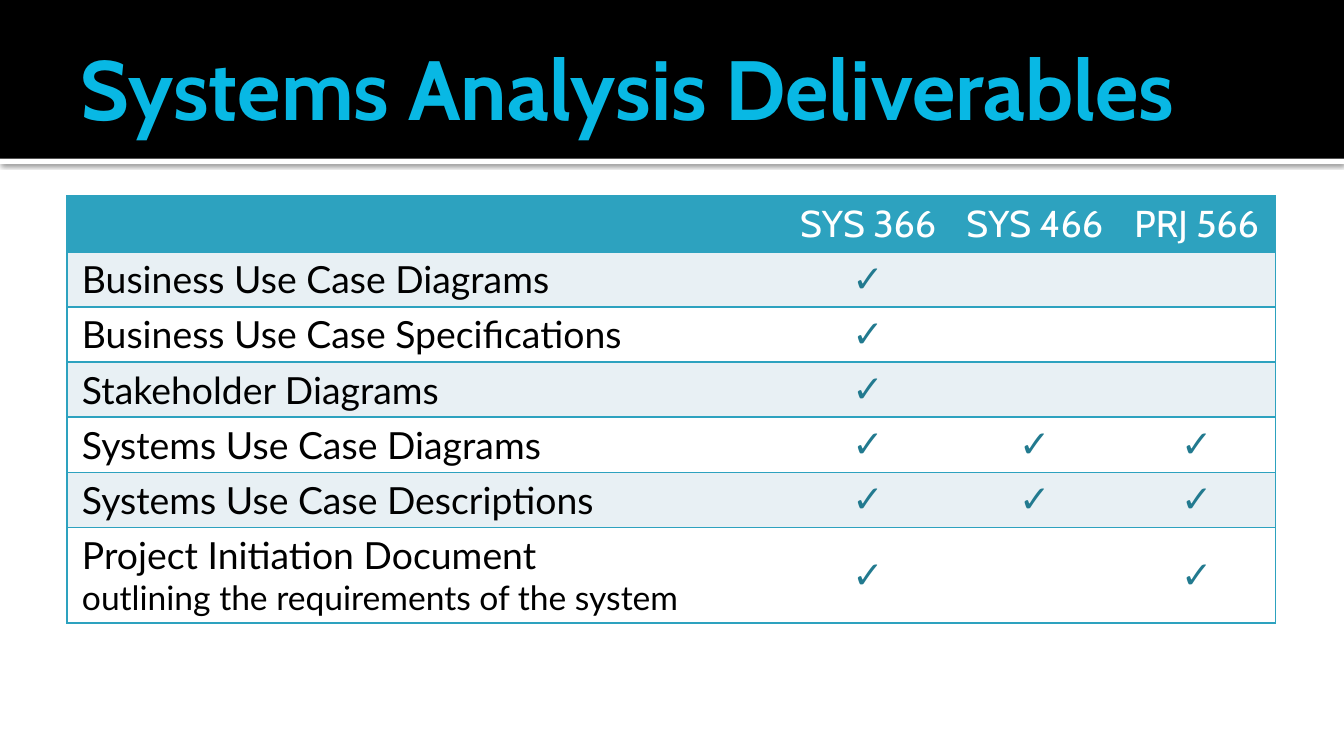
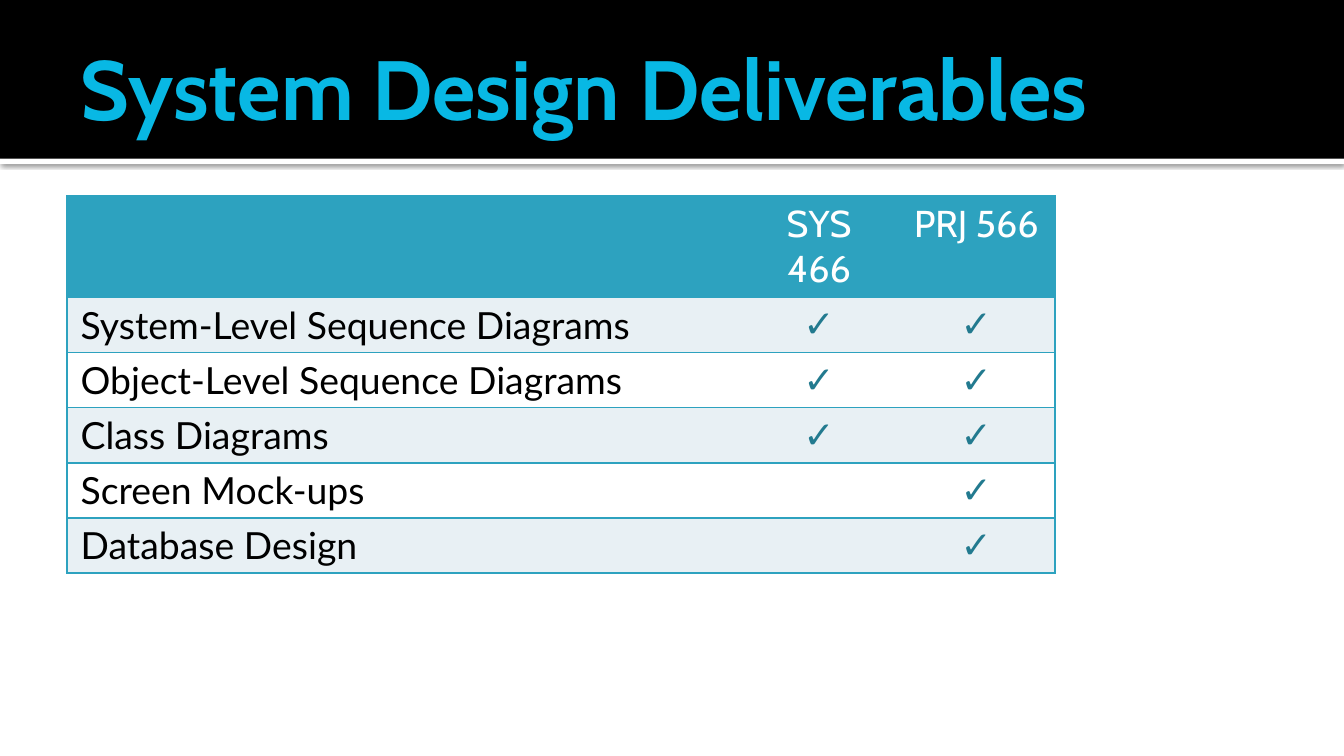
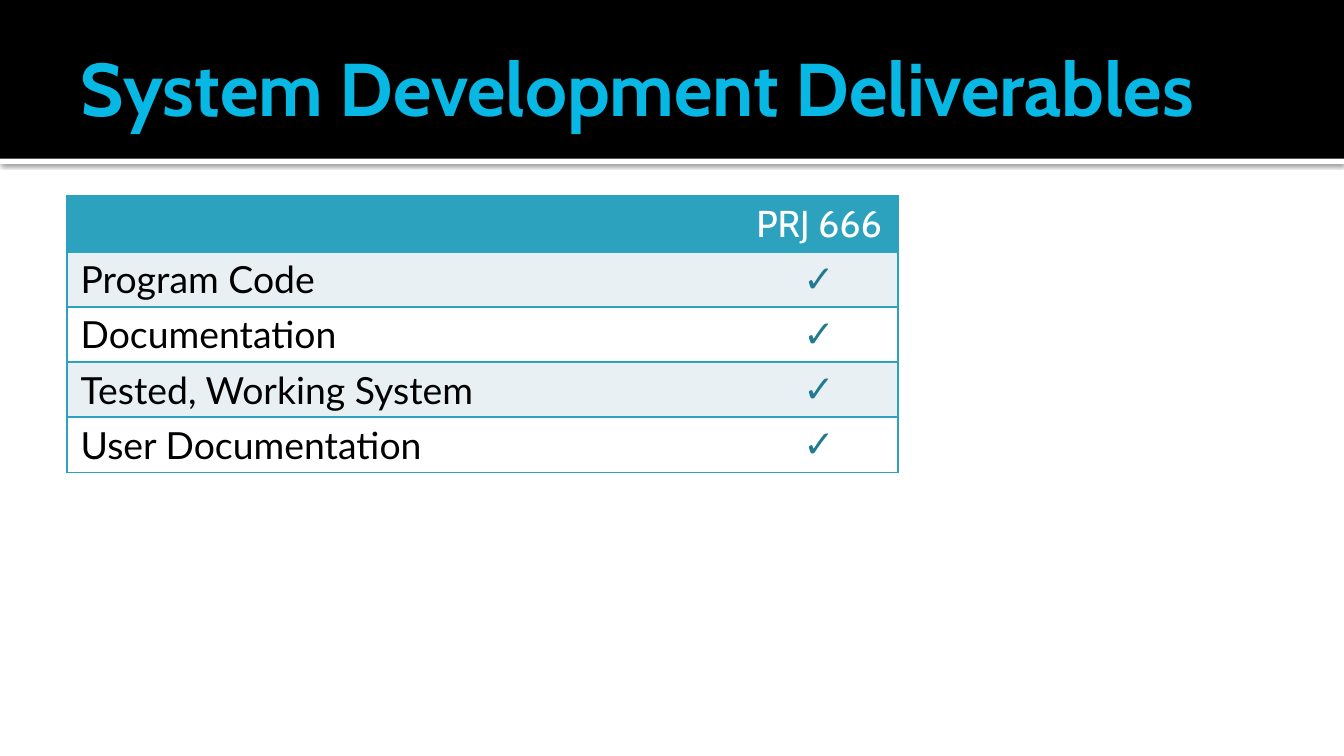
from lxml import etree
from pptx import Presentation
from pptx.dml.color import RGBColor
from pptx.enum.shapes import MSO_SHAPE
from pptx.enum.text import MSO_ANCHOR, MSO_AUTO_SIZE, PP_ALIGN
from pptx.oxml.ns import qn
from pptx.util import Inches, Pt

RECTANGLE = MSO_SHAPE.RECTANGLE
TOP, MIDDLE = MSO_ANCHOR.TOP, MSO_ANCHOR.MIDDLE
LEFT, CENTER = PP_ALIGN.LEFT, PP_ALIGN.CENTER
NO_AUTOFIT = MSO_AUTO_SIZE.NONE

COLORS = {
    "band": "000000",
    "title": "08B8E4",
    "header": "2DA2BF",
    "stripe": "E8F0F4",
    "plain": "FFFFFF",
    "text": "000000",
    "check": "227A8F",
}
HEADING_FONT, BODY_FONT, CHECK_FONT = "Cabin", "Lato", "Arial"
CHECK = "✓"
TITLE_ONLY = 5
SLIDE_WIDTH = Inches(10)
SLIDE_HEIGHT = SLIDE_WIDTH * 9 // 16
MARGIN = 0.5
BAND_HEIGHT = 1.18
TABLE_TOP = 1.46
ROW_HEIGHT = 0.3  # rows grow to fit their text
NOTED_ROW_HEIGHT = 0.5
CELL_PADDING = Pt(2.7)


def rgb(name):
    return RGBColor.from_string(COLORS[name])


def add_run(paragraph, text, font, size, color, bold=False):
    run = paragraph.add_run()
    run.text = text
    run.font.name = font
    run.font.size = Pt(size)
    run.font.bold = bold
    run.font.color.rgb = rgb(color)


def set_margins(target, left, top, right, bottom):
    target.margin_left, target.margin_top = left, top
    target.margin_right, target.margin_bottom = right, bottom


def add_band(slide, top, height, color):
    band = slide.shapes.add_shape(
        RECTANGLE, 0, Inches(top), SLIDE_WIDTH, Inches(height))
    band.shadow.inherit = False
    band.fill.solid()
    band.fill.fore_color.rgb = rgb(color)
    band.line.fill.background()
    return band


def add_soft_shadow(shape):
    effects = shape.element.spPr.find(qn("a:effectLst"))
    shadow = etree.SubElement(
        effects, qn("a:outerShdw"), blurRad=str(Pt(2.5)), dist=str(Pt(0.8)),
        dir="5400000", algn="tl", rotWithShape="0")
    black = etree.SubElement(shadow, qn("a:srgbClr"), val=COLORS["band"])
    etree.SubElement(black, qn("a:alpha"), val="60000")


def move_to_layout(shapes, layout):
    """Put the shapes behind the layout's placeholders, so all slides share them."""
    for position, shape in enumerate(shapes, start=2):
        layout.shapes.element.insert(position, shape.element)


def set_title(slide, text, size):
    title = slide.shapes.title
    title.left, title.top = Inches(MARGIN), Inches(0.13)
    title.width, title.height = Inches(9), Inches(1.03)
    frame = title.text_frame
    frame.auto_size = NO_AUTOFIT
    frame.vertical_anchor = MIDDLE
    set_margins(frame, Inches(0.1), Inches(0.05), Inches(0.05), Inches(0.05))
    paragraph = frame.paragraphs[0]
    paragraph.alignment = LEFT
    add_run(paragraph, text, HEADING_FONT, size, "title", bold=True)


def set_borders(cell, visible_sides):
    properties = cell._tc.get_or_add_tcPr()
    for side in "LRTB":
        line = etree.SubElement(properties, qn(f"a:ln{side}"), w=str(Pt(1)))
        if side in visible_sides:
            fill = etree.SubElement(line, qn("a:solidFill"))
            etree.SubElement(fill, qn("a:srgbClr"), val=COLORS["header"])
        else:
            etree.SubElement(line, qn("a:noFill"))


def fill_deliverable(cell, name, note):
    paragraph = cell.text_frame.paragraphs[0]
    add_run(paragraph, name, BODY_FONT, 20, "text")
    if note:
        paragraph.add_line_break()
        add_run(paragraph, note, BODY_FONT, 18, "text")


def fill_centered(cell, text, font, color, anchor):
    paragraph = cell.text_frame.paragraphs[0]
    paragraph.alignment = CENTER
    cell.vertical_anchor = anchor
    add_run(paragraph, text, font, 20, color)


def add_deliverables(slide, height, widths, courses, deliverables, inset=0.1):
    """Add a table that ticks the courses in which each deliverable is made.

    A deliverable is (name, courses) or (name, courses, note).
    """
    row_heights = [ROW_HEIGHT] + [
        NOTED_ROW_HEIGHT if len(item) == 3 else ROW_HEIGHT for item in deliverables]
    frame = slide.shapes.add_table(
        len(row_heights), len(widths), Inches(MARGIN), Inches(TABLE_TOP),
        Inches(sum(widths)), Inches(height))
    table = frame.table
    for column, width in zip(table.columns, widths):
        column.width = Inches(width)

    last_column = len(courses)
    for row_number, (row, row_height) in enumerate(zip(table.rows, row_heights)):
        row.height = Inches(row_height)
        stripe = "stripe" if row_number % 2 else "plain"
        for column_number, cell in enumerate(row.cells):
            sides = "TB" + "L" * (column_number == 0) + "R" * (column_number == last_column)
            set_borders(cell, sides)
            cell.fill.solid()
            cell.fill.fore_color.rgb = rgb(stripe if row_number else "header")
            set_margins(cell, Inches(inset), CELL_PADDING, Inches(inset), CELL_PADDING)
    frame.height = Inches(height)

    for column_number, course in enumerate(courses, start=1):
        fill_centered(table.cell(0, column_number), course, HEADING_FONT, "plain", TOP)
    for row_number, (name, ticked, *note) in enumerate(deliverables, start=1):
        fill_deliverable(table.cell(row_number, 0), name, "".join(note))
        for course in ticked:
            cell = table.cell(row_number, courses.index(course) + 1)
            fill_centered(cell, CHECK, CHECK_FONT, "check", MIDDLE)


def main():
    prs = Presentation()
    prs.slide_width, prs.slide_height = SLIDE_WIDTH, SLIDE_HEIGHT
    layout = prs.slide_layouts[TITLE_ONLY]
    analysis, design, development = [prs.slides.add_slide(layout) for _ in range(3)]

    edge = add_band(analysis, BAND_HEIGHT, 0.04, "plain")
    add_soft_shadow(edge)
    title_band = add_band(analysis, 0, BAND_HEIGHT, "band")
    move_to_layout([edge, title_band], layout)

    sys366, sys466, prj566, prj666 = "SYS 366", "SYS 466", "PRJ 566", "PRJ 666"

    set_title(analysis, "Systems Analysis Deliverables", 45)
    all_courses = [sys366, sys466, prj566]
    add_deliverables(analysis, 3.16, [5.34, 1.24, 1.24, 1.17], all_courses, [
        ("Business Use Case Diagrams", [sys366]),
        ("Business Use Case Specifications", [sys366]),
        ("Stakeholder Diagrams", [sys366]),
        ("Systems Use Case Diagrams", all_courses),
        ("Systems Use Case Descriptions", all_courses),
        ("Project Initiation Document ", [sys366, prj566],
         "outlining the requirements of the system"),
    ], inset=0.11)

    set_title(design, "System Design Deliverables", 45)
    design_courses = [sys466, prj566]
    add_deliverables(design, 2.45, [5.01, 1.17, 1.17], design_courses, [
        ("System-Level Sequence Diagrams", design_courses),
        ("Object-Level Sequence Diagrams", design_courses),
        ("Class Diagrams", design_courses),
        ("Screen Mock-ups", [prj566]),
        ("Database Design", [prj566]),
    ])

    set_title(development, "System Development Deliverables", 40)
    add_deliverables(development, 2.04, [5.01, 1.17], [prj666], [
        ("Program Code", [prj666]),
        ("Documentation", [prj666]),
        ("Tested, Working System", [prj666]),
        ("User Documentation", [prj666]),
    ])

    prs.save("out.pptx")


if __name__ == "__main__":
    main()
